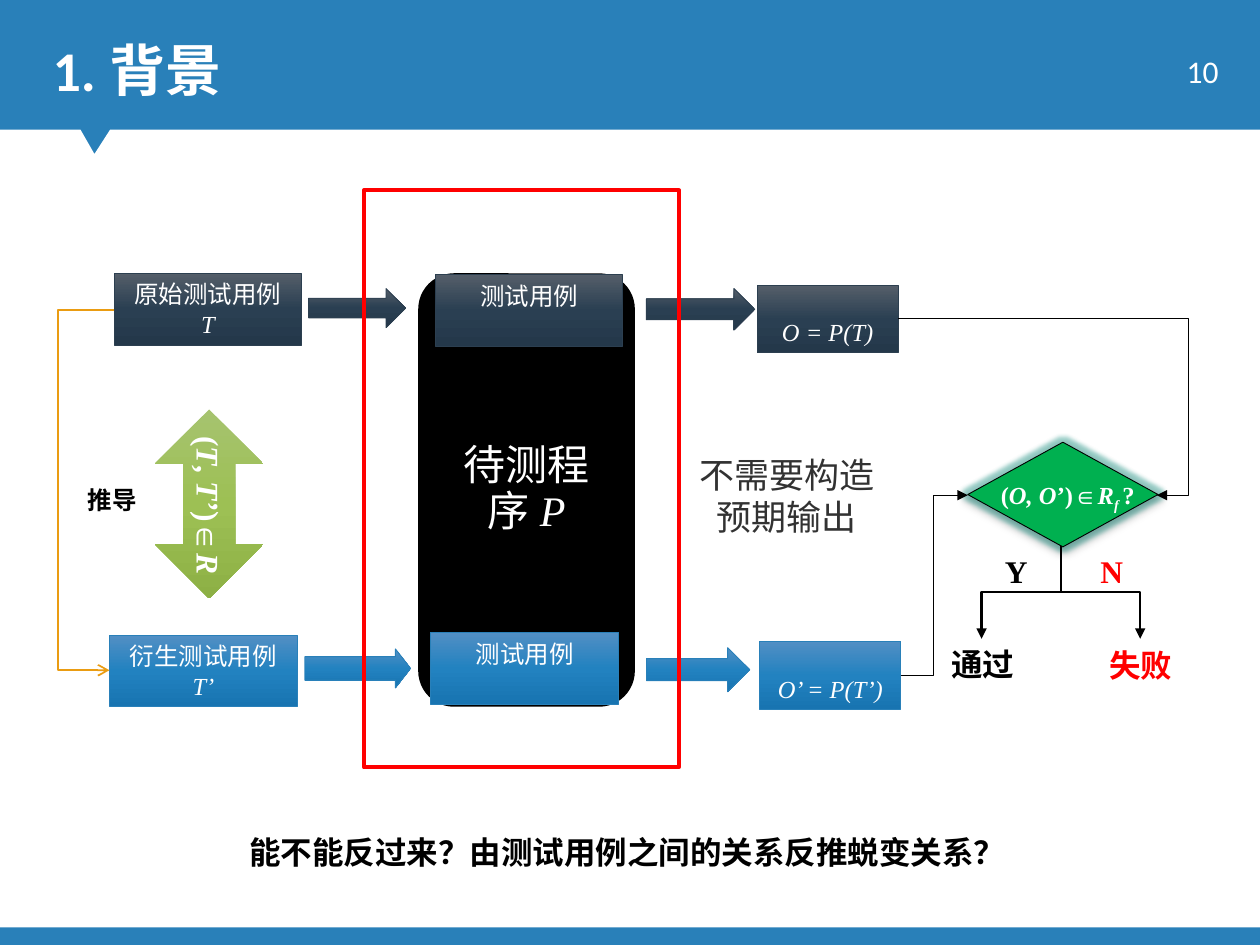
from copy import deepcopy
from dataclasses import dataclass
from typing import NamedTuple, Optional

from lxml.etree import SubElement
from pptx import Presentation
from pptx.dml.color import RGBColor
from pptx.enum.shapes import MSO_CONNECTOR, MSO_SHAPE
from pptx.enum.text import MSO_ANCHOR, PP_ALIGN
from pptx.oxml.ns import qn
from pptx.util import Pt


class Tone(NamedTuple):
    stops: tuple
    line: Optional[str] = None


@dataclass(frozen=True)
class Theme:
    sans: str = "Calibri"
    serif: str = "Times New Roman"
    cjk: str = "Noto Sans CJK SC"
    blue: str = "2980B9"
    white: str = "FFFFFF"
    black: str = "000000"
    red: str = "FF0000"
    grey: str = "323232"
    orange: str = "EA9C12"
    green: str = "00B050"
    glow: str = "1A9C8C"
    dark_tone: Tone = Tone(("545E69", "2A3F52", "24384A"), "2C3F50")
    blue_tone: Tone = Tone(("528FC4", "2282C0", "1874B1"), "2980B9")
    green_tone: Tone = Tone(("A6C36F", "9DC054", "8DB045"))
    title: int = 32
    program: int = 24
    note: int = 20
    body: int = 18
    small: int = 14


T = Theme()


class Box(NamedTuple):
    x: float
    y: float
    w: float
    h: float


class Run(NamedTuple):
    text: str
    font: str = T.serif
    italic: bool = False
    sub: bool = False


class Label(NamedTuple):
    box: Box
    runs: list
    size: int
    color: str
    align: PP_ALIGN = PP_ALIGN.CENTER
    bold: bool = True


class Elbow(NamedTuple):
    start: tuple
    end: tuple
    via: float
    color: str = T.black
    width: float = 0.5
    head: str = "triangle"
    vertical: bool = False


def rgb(color: str) -> RGBColor:
    return RGBColor.from_string(color)


def write(sp, paragraphs: list, size: int, color: str, bold: bool = False,
          align=PP_ALIGN.CENTER, anchor=MSO_ANCHOR.TOP):
    tf = sp.text_frame
    tf.word_wrap = True
    tf.vertical_anchor = anchor
    for i, runs in enumerate(paragraphs):
        p = tf.add_paragraph() if i else tf.paragraphs[0]
        p.alignment = align
        for run in runs:
            r = p.add_run()
            r.text = run.text
            f = r.font
            f.size, f.bold, f.italic = Pt(size), bold, run.italic
            f.color.rgb = rgb(color)
            f.name = run.font
            rPr = r._r.get_or_add_rPr()
            SubElement(rPr, qn("a:ea"), typeface=T.cjk)
            if run.sub:
                rPr.set("baseline", "-25000")
    return tf


def paint(sp, fill=None, line: Optional[str] = None, width: float = 0.5):
    """Fill with a colour, a three-stop Tone running downwards, or nothing."""
    sp.shadow.inherit = False
    if isinstance(fill, Tone):
        line = fill.line
        sp.fill.gradient()
        sp.fill.gradient_angle = 270
        gs_list = sp._element.spPr.find(".//" + qn("a:gsLst"))
        gs_list.append(deepcopy(gs_list[0]))
        for stop, color, pos in zip(sp.fill.gradient_stops, fill.stops, (0, 0.5, 1)):
            stop.color.rgb = rgb(color)
            stop.position = pos
    elif fill:
        sp.fill.solid()
        sp.fill.fore_color.rgb = rgb(fill)
    else:
        sp.fill.background()
    if line:
        sp.line.color.rgb = rgb(line)
        sp.line.width = Pt(width)
    else:
        sp.line.fill.background()


def shape(s, kind: MSO_SHAPE, box: Box, fill=None, line=None, width=0.5, adj=()):
    sp = s.shapes.add_shape(kind, *map(Pt, box))
    paint(sp, fill, line, width)
    for i, value in enumerate(adj):
        sp.adjustments[i] = value
    return sp


def label(s, item: Label, anchor=MSO_ANCHOR.TOP):
    sp = s.shapes.add_textbox(*map(Pt, item.box))
    write(sp, [item.runs], item.size, item.color, item.bold, item.align, anchor)
    return sp


def elbow(s, e: Elbow):
    """Bent arrow; via is the x of its middle leg, or the y when vertical."""
    (x1, y1), (x2, y2) = e.start, e.end
    ends = (x1, y1, x2, y2)
    first, last = (y1, y2) if e.vertical else (x1, x2)
    if e.vertical:
        cx, cy, dx, dy = (x1 + x2) / 2, (y1 + y2) / 2, (x2 - x1) / 2, (y2 - y1) / 2
        ends = (cx - dy, cy + dx, cx + dy, cy - dx)
    c = s.shapes.add_connector(MSO_CONNECTOR.ELBOW, *map(Pt, ends))
    c.line.color.rgb = rgb(e.color)
    c.line.width = Pt(e.width)
    spPr = c._element.spPr
    if e.vertical:
        spPr.find(qn("a:xfrm")).set("rot", "5400000")
    share = round((e.via - first) / (last - first) * 100000)
    guides = spPr.find(qn("a:prstGeom")).get_or_add_avLst()
    SubElement(guides, qn("a:gd"), name="adj1", fmla=f"val {share}")
    SubElement(c.line._get_or_add_ln(), qn("a:tailEnd"), type=e.head)
    SubElement(spPr, qn("a:effectLst"))


def effect(parent, kind: str, color: str, alpha: int, **attrs):
    node = SubElement(parent, qn("a:" + kind), **attrs)
    clr = SubElement(node, qn("a:srgbClr"), val=color)
    SubElement(clr, qn("a:alpha"), val=str(alpha * 1000))


def header(s):
    shape(s, MSO_SHAPE.RECTANGLE, Box(0, 0, 720, 540), T.blue)
    fb = s.shapes.build_freeform(0, Pt(74), scale=Pt(1) / 1.0)
    fb = s.shapes.build_freeform(0, 74, scale=float(Pt(1)))
    fb.add_line_segments([(46, 74), (54.5, 88.5), (63, 74), (720, 74), (720, 530.5), (0, 530.5)])
    paint(fb.convert_to_shape(), T.white)
    label(s, Label(Box(23, 17, 559, 46), [Run("1.背景", T.sans)], T.title, T.white, PP_ALIGN.LEFT))
    label(s, Label(Box(638.6, 22.3, 64.8, 36), [Run("10", T.sans)], T.body, T.white,
                   PP_ALIGN.RIGHT, False), MSO_ANCHOR.MIDDLE)


def flow(s):
    """Program under test, its two inputs and its two outputs."""
    arrow, rect = MSO_SHAPE.RIGHT_ARROW, MSO_SHAPE.RECTANGLE
    shape(s, arrow, Box(174.2, 370.8, 60.5, 22.3), T.blue_tone, adj=(0.6, 0.39))
    sp = shape(s, MSO_SHAPE.ROUNDED_RECTANGLE, Box(239, 156.2, 123.8, 247.7), T.black, adj=(0.165,))
    tf = write(sp, [[Run("待测程序", T.sans), Run("P", italic=True)]], T.program, T.white,
               anchor=MSO_ANCHOR.MIDDLE)
    tf.margin_left = tf.margin_right = tf.margin_top = tf.margin_bottom = Pt(10)
    tf.paragraphs[0].line_spacing = 0.9

    shape(s, MSO_SHAPE.UP_DOWN_ARROW, Box(88.6, 234, 61.9, 108), T.green_tone, adj=(0.51, 0.48))
    relation = label(s, Label(Box(69.8, 274.3, 99.4, 28.8), [
        Run("("), Run("T", italic=True), Run(", "), Run("T’", italic=True), Run(")∈"),
        Run("R", italic=True)], T.body, T.white))
    relation.rotation = 90
    relation.text_frame.word_wrap = False

    for box, tone in ((Box(176.4, 164.9, 55.4, 22.3), T.dark_tone),
                      (Box(369.4, 164.9, 61.9, 23.8), T.dark_tone),
                      (Box(369.4, 370.1, 59, 25.2), T.blue_tone)):
        shape(s, arrow, box, tone)
    for box, tone, name, symbol in (
            (Box(65.5, 156.2, 106.6, 41), T.dark_tone, "原始测试用例", "T"),
            (Box(62.6, 362.9, 107.3, 41), T.blue_tone, "衍生测试用例", "T’")):
        write(shape(s, rect, box, tone), [[Run(name, T.sans)], [Run(symbol, italic=True)]],
              T.small, T.white)
    for box, tone, formula in ((Box(432.7, 163.4, 80.6, 38.2), T.dark_tone, "O = P(T)"),
                               (Box(434.2, 366.5, 80.6, 38.9), T.blue_tone, "O’ = P(T’)")):
        write(shape(s, rect, box, tone), [[Run(formula, italic=True)]], T.small, T.white,
              anchor=MSO_ANCHOR.BOTTOM)


def decision(s):
    sp = shape(s, MSO_SHAPE.FLOWCHART_DECISION, Box(553, 252.7, 108.7, 59.8), T.green, T.black)
    effects = sp._element.spPr.find(qn("a:effectLst"))
    effect(effects, "glow", T.glow, 40, rad=str(Pt(5)))
    effect(effects, "outerShdw", T.black, 35, blurRad=str(Pt(3.1)), dist=str(Pt(1.8)), dir="5400000")
    label(s, Label(Box(559.4, 270.7, 101.5, 24.5), [
        Run("("), Run("O, O", italic=True), Run("’)∈"), Run("R", italic=True),
        Run("f ", italic=True, sub=True), Run("?")], T.small, T.white))
    for x in (560.9, 651.6):
        elbow(s, Elbow((606.2, 311.8), (x, 365), 338.4, width=1.25, vertical=True))
    for box, run, color in ((Box(527.8, 365, 67.7, 28.8), Run("通过", T.cjk), T.black),
                            (Box(626.4, 365.8, 51.1, 28.8), Run("失败", T.cjk), T.red),
                            (Box(555.1, 311.8, 51.1, 28.8), Run("Y"), T.black),
                            (Box(609.8, 311.8, 51.1, 28.8), Run("N"), T.red)):
        label(s, Label(box, [run], T.body, color))


def links_and_notes(s):
    elbow(s, Elbow((65.5, 177.1), (62.6, 383), 33.1, T.orange, 1, "arrow"))
    label(s, Label(Box(43.2, 273.6, 45.4, 24.5), [Run("推导", T.cjk)], T.small, T.black, PP_ALIGN.LEFT))
    label(s, Label(Box(389.5, 255.6, 120.2, 55.4), [Run("不需要构造预期输出")], T.note, T.grey, bold=False))
    elbow(s, Elbow((513.4, 182.2), (661, 283), 679))
    elbow(s, Elbow((514.8, 385.9), (553, 283), 533.5))
    shape(s, MSO_SHAPE.RECTANGLE, Box(208, 108.7, 180, 329.8), line=T.red, width=2.25)
    label(s, Label(Box(135.4, 472.3, 455, 28.8),
                   [Run("能不能反过来？由测试用例之间的关系反推蜕变关系？", T.sans)],
                   T.body, T.black, PP_ALIGN.LEFT))
    for box, tone in ((Box(246.2, 361.4, 107.3, 41), T.blue_tone),
                      (Box(249.1, 157, 106.6, 41), T.dark_tone)):
        write(shape(s, MSO_SHAPE.RECTANGLE, box, tone), [[Run("测试用例", T.sans)]], T.small, T.white)


def main():
    prs = Presentation()
    prs.slide_width, prs.slide_height = Pt(720), Pt(540)
    s = prs.slides.add_slide(prs.slide_layouts[6])
    for draw in (header, flow, decision, links_and_notes):
        draw(s)
    prs.save("out.pptx")


if __name__ == "__main__":
    main()
